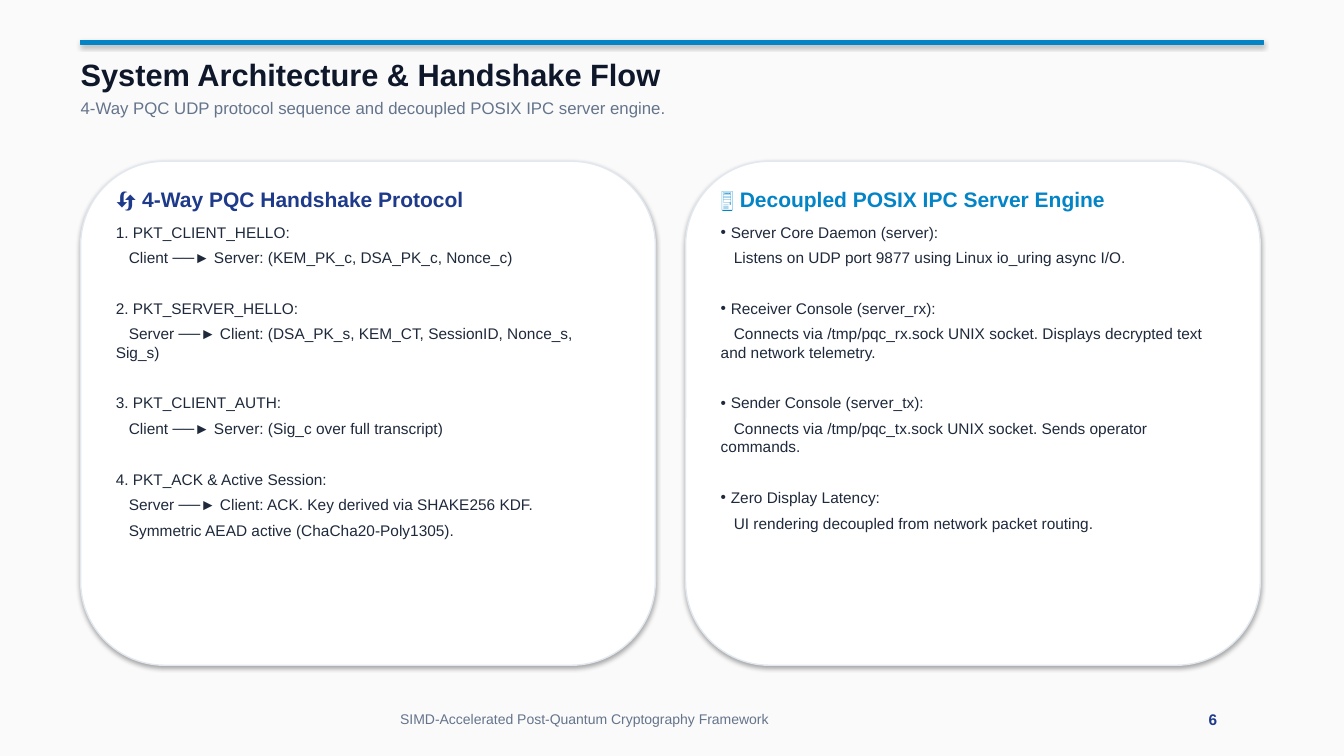
from dataclasses import dataclass

from lxml import etree
from pptx import Presentation
from pptx import util as u
from pptx.dml.color import RGBColor
from pptx.enum import shapes, text
from pptx.oxml.ns import qn

PX = 9144


@dataclass(frozen=True)
class Theme:
    font: str = "Arial"
    bg: str = "FAFAFA"
    card: str = "FFFFFF"
    border: str = "E2E8F0"
    blue: str = "0284C7"
    navy: str = "1E3A8A"
    ink: str = "0F172A"
    body: str = "1E293B"
    muted: str = "64748B"
    title_pt: int = 22
    subtitle_pt: int = 12
    heading_pt: int = 15
    body_pt: int = 11
    footer_pt: int = 10
    page_pt: int = 11


T = Theme()
NUMBER_HANG, BULLET_HANG, DETAIL_INDENT = 17, 10, 13

HANDSHAKE = [
    ("PKT_CLIENT_HELLO:", ["Client ──► Server: (KEM_PK_c, DSA_PK_c, Nonce_c)"]),
    ("PKT_SERVER_HELLO:",
     ["Server ──► Client: (DSA_PK_s, KEM_CT, SessionID, Nonce_s, Sig_s)"]),
    ("PKT_CLIENT_AUTH:", ["Client ──► Server: (Sig_c over full transcript)"]),
    ("PKT_ACK & Active Session:",
     ["Server ──► Client: ACK. Key derived via SHAKE256 KDF.",
      "Symmetric AEAD active (ChaCha20-Poly1305)."]),
]
ENGINE = [
    ("Server Core Daemon (server):",
     ["Listens on UDP port 9877 using Linux io_uring async I/O."]),
    ("Receiver Console (server_rx):",
     ["Connects via /tmp/pqc_rx.sock UNIX socket. "
      "Displays decrypted text and network telemetry."]),
    ("Sender Console (server_tx):",
     ["Connects via /tmp/pqc_tx.sock UNIX socket. Sends operator commands."]),
    ("Zero Display Latency:",
     ["UI rendering decoupled from network packet routing."]),
]


def rgb(value):
    return RGBColor.from_string(value)


def add_box(s, kind, at, fill, line, width):
    sp = s.shapes.add_shape(kind, *(n * PX for n in at))
    sp.fill.solid()
    sp.fill.fore_color.rgb = rgb(fill)
    sp.line.color.rgb = rgb(line)
    sp.line.width = u.Pt(width)
    return sp


def add_text(s, at, inset=(10, 5), wrap=True):
    tf = s.shapes.add_textbox(*(n * PX for n in at)).text_frame
    tf.margin_left = tf.margin_right = inset[0] * PX
    tf.margin_top = tf.margin_bottom = inset[1] * PX
    tf.word_wrap = wrap
    tf.auto_size = text.MSO_AUTO_SIZE.SHAPE_TO_FIT_TEXT
    return tf


def write(p, words, size, color, bold=False, before=0, after=0):
    p.text = words
    p.space_before, p.space_after = u.Pt(before), u.Pt(after)
    for r in p.runs:
        r.font.name = T.font
        r.font.size = u.Pt(size)
        r.font.bold = bold
        r.font.color.rgb = rgb(color)


def indent(p, left, first):
    pPr = p._p.get_or_add_pPr()
    pPr.set("marL", str(left * PX))
    pPr.set("indent", str(first * PX))
    return pPr


def add_marker(p, number):
    hang = NUMBER_HANG if number else BULLET_HANG
    pPr = indent(p, hang, -hang)
    if number:
        etree.SubElement(pPr, qn("a:buAutoNum"), type="arabicPeriod",
                         startAt=str(number))
    else:
        etree.SubElement(pPr, qn("a:buFont"), typeface=T.font)
        etree.SubElement(pPr, qn("a:buChar"), char="•")


def add_panel(s, left, height, heading, color, items, numbered):
    add_box(s, shapes.MSO_SHAPE.ROUNDED_RECTANGLE, (left, 160, 570, 500),
            T.card, T.border, 1)
    tf = add_text(s, (left + 25, 180, 520, height))
    write(tf.paragraphs[0], heading, T.heading_pt, color, True, after=8)
    for i, (name, details) in enumerate(items):
        p = tf.add_paragraph()
        add_marker(p, i + 1 if numbered else 0)
        write(p, name, T.body_pt, T.body, before=18 if i else 0, after=5)
        for detail in details:
            p = tf.add_paragraph()
            indent(p, 0, DETAIL_INDENT)
            write(p, detail, T.body_pt, T.body, after=5)


def add_header(s):
    add_box(s, shapes.MSO_SHAPE.RECTANGLE, (80, 40, 1173, 4), T.blue, T.blue, 0.75)
    tf = add_text(s, (80, 55, 1173, 62), inset=(0, 0))
    write(tf.paragraphs[0], "System Architecture & Handshake Flow",
          T.title_pt, T.ink, True)
    write(tf.add_paragraph(),
          "4-Way PQC UDP protocol sequence and decoupled POSIX IPC server engine.",
          T.subtitle_pt, T.muted, before=4)


def add_footer(s):
    tf = add_text(s, (387, 700, 385, 27), wrap=False)
    write(tf.paragraphs[0], "SIMD-Accelerated Post-Quantum Cryptography Framework",
          T.footer_pt, T.muted)
    tf = add_text(s, (1189, 700, 28, 28), wrap=False)
    write(tf.paragraphs[0], "6", T.page_pt, T.navy, True)
    tf.paragraphs[0].alignment = text.PP_ALIGN.RIGHT


def main():
    prs = Presentation()
    prs.slide_width, prs.slide_height = 1333 * PX, 750 * PX
    s = prs.slides.add_slide(prs.slide_layouts[6])
    s.background.fill.solid()
    s.background.fill.fore_color.rgb = rgb(T.bg)
    add_header(s)
    add_footer(s)
    add_panel(s, 80, 361, "🔄 4-Way PQC Handshake Protocol", T.navy,
              HANDSHAKE, True)
    add_panel(s, 680, 354, "🖥️ Decoupled POSIX IPC Server Engine", T.blue,
              ENGINE, False)
    prs.save("out.pptx")


if __name__ == "__main__":
    main()
